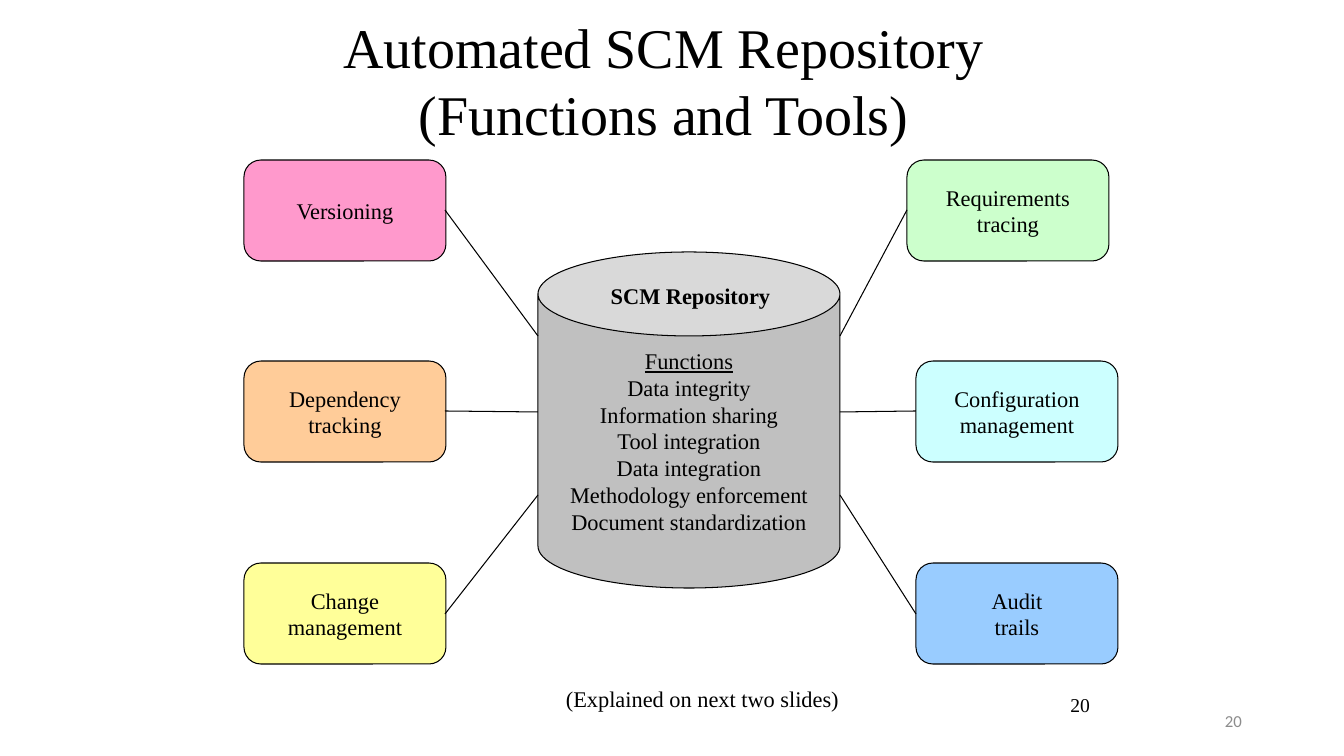
from lxml.etree import SubElement
from pptx import Presentation
from pptx.dml.color import RGBColor
from pptx.enum.shapes import MSO_CONNECTOR, MSO_SHAPE
from pptx.enum.text import MSO_ANCHOR as ANCHOR, MSO_AUTO_SIZE, PP_ALIGN as ALIGN
from pptx.oxml.ns import qn
from pptx.util import Pt

PIXEL = 914400 / 100.8
LINE_WIDTH = Pt(0.74)
BLACK = RGBColor(0x00, 0x00, 0x00)
GRAY = RGBColor(0x8C, 0x8C, 0x8C)
SILVER = RGBColor(0xC0, 0xC0, 0xC0)
PINK = RGBColor(0xFF, 0x99, 0xCC)
ORANGE = RGBColor(0xFF, 0xCC, 0x99)
YELLOW = RGBColor(0xFF, 0xFF, 0x99)
GREEN = RGBColor(0xCC, 0xFF, 0xCC)
CYAN = RGBColor(0xCC, 0xFF, 0xFF)
BLUE = RGBColor(0x99, 0xCC, 0xFF)


def emu(*pixels):
    return [round(value * PIXEL) for value in pixels]


def write(shape, text, size=16, font="Times New Roman", color=BLACK, bold=False,
          align=ALIGN.CENTER, anchor=ANCHOR.MIDDLE, wrap=False):
    frame = shape.text_frame
    frame.auto_size = MSO_AUTO_SIZE.NONE
    frame.word_wrap = wrap
    frame.vertical_anchor = anchor
    frame.text = text
    for para in frame.paragraphs:
        para.alignment = align
        for span in para.runs:
            span.font.size = Pt(size)
            span.font.name = font
            span.font.bold = bold
            span.font.color.rgb = color


deck = Presentation()
deck.slide_width, deck.slide_height = emu(1344, 756)
page = deck.slides.add_slide(deck.slide_layouts[5])
shapes = page.shapes

# Title
title = shapes.title
title.left, title.top, title.width, title.height = emu(235, 17, 857, 126)
write(title, "Automated SCM Repository\n(Functions and Tools)", size=40, wrap=True)

# Repository cylinder and tool boxes
ROUND = MSO_SHAPE.ROUNDED_RECTANGLE
functions = ("Functions\nData integrity\nInformation sharing\nTool integration\n"
             "Data integration\nMethodology enforcement\nDocument standardization")
nodes = [
    (MSO_SHAPE.CAN, 538, 252, 302, 336, 0.278, SILVER, functions),
    (ROUND, 244, 160, 202, 101, 0.167, PINK, "Versioning"),
    (ROUND, 244, 361, 202, 101, 0.167, ORANGE, "Dependency\ntracking"),
    (ROUND, 244, 563, 202, 101, 0.167, YELLOW, "Change\nmanagement"),
    (ROUND, 907, 160, 202, 101, 0.167, GREEN, "Requirements\ntracing"),
    (ROUND, 916, 361, 202, 101, 0.167, CYAN, "Configuration\nmanagement"),
    (ROUND, 916, 563, 202, 101, 0.167, BLUE, "Audit\ntrails"),
]
for kind, left, top, width, height, curve, fill, text in nodes:
    node = shapes.add_shape(kind, *emu(left, top, width, height))
    node.shadow.inherit = False
    node.adjustments[0] = curve
    node.fill.solid()
    node.fill.fore_color.rgb = fill
    node.line.color.rgb = BLACK
    node.line.width = LINE_WIDTH
    write(node, text)
    if kind == MSO_SHAPE.CAN:
        heading = node.text_frame.paragraphs[0].runs[0]
        heading.font.underline = True

# Lines from the tool boxes to the cylinder
for box_y, can_y, right_box_x in [(210, 336, 907), (411, 412, 916), (614, 495, 916)]:
    for box_x, can_x in [(445, 538), (right_box_x, 840)]:
        link = shapes.add_connector(MSO_CONNECTOR.STRAIGHT,
                                    *emu(box_x, box_y, can_x, can_y))
        link.line.color.rgb = BLACK
        link.line.width = LINE_WIDTH
        SubElement(link._element.spPr, qn("a:effectLst"))

# Labels and page numbers
labels = [
    ((600, 277, 181, 37), "SCM Repository", dict(bold=True)),
    ((554, 680, 297, 37), "(Explained on next two slides)", {}),
    ((890, 688, 210, 50), "20", dict(size=14, align=ALIGN.RIGHT, wrap=True)),
    ((950, 701, 302, 40), "20", dict(size=12, font="Calibri", color=GRAY,
                                     align=ALIGN.RIGHT, anchor=ANCHOR.MIDDLE, wrap=True)),
]
for area, text, style in labels:
    label = shapes.add_textbox(*emu(*area))
    write(label, text, **{"anchor": ANCHOR.TOP, **style})

deck.save("out.pptx")
